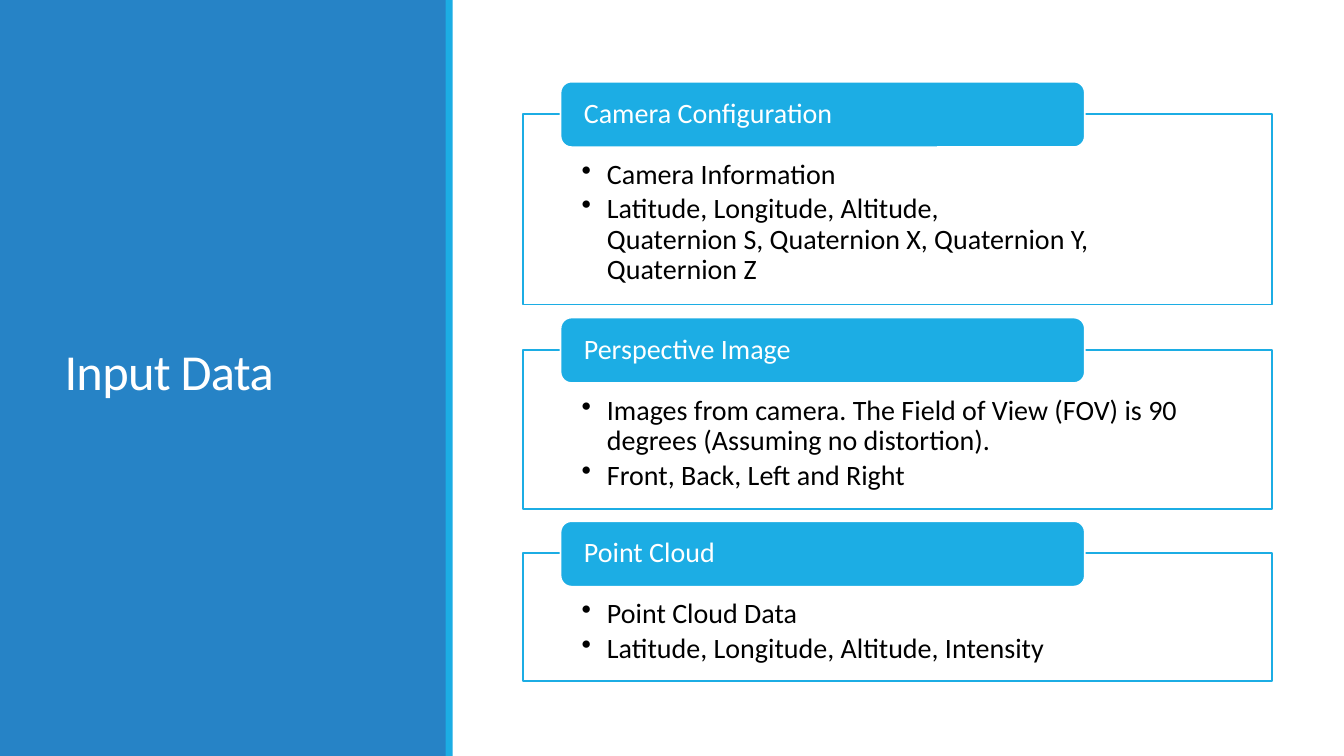
import pptx
import pptx.dml.color
import pptx.enum.shapes
import pptx.enum.text
import pptx.oxml.ns
import pptx.util
from lxml import etree
from pptx.util import Inches

RGBColor = pptx.dml.color.RGBColor
MSO_SHAPE = pptx.enum.shapes.MSO_SHAPE
MSO_ANCHOR = pptx.enum.text.MSO_ANCHOR
PP_ALIGN = pptx.enum.text.PP_ALIGN

BLUE = RGBColor(0x26, 0x83, 0xC6)
CYAN = RGBColor(0x1C, 0xAD, 0xE4)
WHITE = RGBColor(0xFF, 0xFF, 0xFF)
BLACK = RGBColor(0, 0, 0)

CARD_LEFT, CARD_WIDTH = 5.19, 7.43
LABEL_LEFT, LABEL_WIDTH, LABEL_HEIGHT = 5.56, 5.2, 0.65
LABEL_RISE = 0.32

# Label, top and height of the box, bullets
CARDS = [
    ("Camera Configuration", 1.13, 1.89,
     ["Camera Information",
      "Latitude, Longitude, Altitude,\vQuaternion S, Quaternion X, Quaternion Y, Quaternion Z"]),
    ("Perspective Image", 3.47, 1.58,
     ["Images from camera. The Field of View (FOV) is 90 degrees (Assuming no distortion).",
      "Front, Back, Left and Right"]),
    ("Point Cloud", 5.49, 1.27,
     ["Point Cloud Data",
      "Latitude, Longitude, Altitude, Intensity"]),
]


def set_attributes(target, values):
    for name, value in values.items():
        setattr(target, name, value)


def add_box(slide, preset, left, top, width, height, fill, line=None):
    shape = slide.shapes.add_shape(
        preset, Inches(left), Inches(top), Inches(width), Inches(height))
    shape.shadow.inherit = False
    shape.fill.solid()
    shape.fill.fore_color.rgb = fill
    if line is None:
        shape.line.fill.background()
    else:
        shape.line.color.rgb = line
        shape.line.width = pptx.util.Pt(1.25)
    return shape


def set_frame(text_frame, anchor, left, top, right, bottom):
    """Set the anchor and the insets, in inches, of a wrapping text frame."""
    set_attributes(text_frame, {
        "word_wrap": True,
        "auto_size": pptx.enum.text.MSO_AUTO_SIZE.NONE,
        "vertical_anchor": anchor,
        "margin_left": Inches(left),
        "margin_top": Inches(top),
        "margin_right": Inches(right),
        "margin_bottom": Inches(bottom),
    })


def add_bullet(paragraph):
    properties = paragraph._p.get_or_add_pPr()
    properties.set("marL", str(Inches(0.25)))
    properties.set("indent", str(-Inches(0.25)))
    bullet = etree.SubElement(properties, pptx.oxml.ns.qn("a:buChar"))
    bullet.set("char", "•")


def write_paragraph(paragraph, text, size, color, line_spacing=0.9, space_after=0):
    paragraph.text = text
    set_attributes(paragraph, {
        "alignment": PP_ALIGN.LEFT,
        "line_spacing": line_spacing,
        "space_after": pptx.util.Pt(space_after),
    })
    for run in paragraph.runs:
        set_attributes(run.font, {"name": "Calibri", "size": pptx.util.Pt(size)})
        run.font.color.rgb = color


def add_card(slide, label, top, height, bullets):
    box = add_box(slide, MSO_SHAPE.RECTANGLE, CARD_LEFT, top, CARD_WIDTH, height, WHITE, CYAN)
    frame = box.text_frame
    set_frame(frame, MSO_ANCHOR.TOP, 0.58, 0.46, 0.58, 0.16)
    for index, text in enumerate(bullets):
        paragraph = frame.add_paragraph() if index else frame.paragraphs[0]
        add_bullet(paragraph)
        write_paragraph(paragraph, text, 20, BLACK, space_after=3)

    tab = add_box(slide, MSO_SHAPE.ROUNDED_RECTANGLE, LABEL_LEFT, top - LABEL_RISE,
                  LABEL_WIDTH, LABEL_HEIGHT, CYAN, WHITE)
    set_frame(tab.text_frame, MSO_ANCHOR.MIDDLE, 0.2, 0, 0.2, 0)
    write_paragraph(tab.text_frame.paragraphs[0], label, 20, WHITE)


def add_title_panel(slide, text):
    panel = add_box(slide, MSO_SHAPE.RECTANGLE, 0, 0, 4.43, 7.5, BLUE)
    title = slide.shapes.title
    title.element.addprevious(panel.element)
    set_attributes(title, {
        "left": Inches(0.54), "top": Inches(0.57),
        "width": Inches(3.37), "height": Inches(6.31),
    })
    set_frame(title.text_frame, MSO_ANCHOR.MIDDLE, 0.1, 0.05, 0.1, 0.05)
    paragraph = title.text_frame.paragraphs[0]
    write_paragraph(paragraph, text, 36, WHITE, line_spacing=0.85)
    paragraph.runs[0]._r.get_or_add_rPr().set("spc", "-50")
    add_box(slide, MSO_SHAPE.RECTANGLE, 4.42, 0, 0.07, 7.5, CYAN)


def main():
    presentation = pptx.Presentation()
    presentation.slide_width = Inches(13.33)
    presentation.slide_height = Inches(7.5)
    slide = presentation.slides.add_slide(presentation.slide_layouts.get_by_name("Title Only"))
    add_title_panel(slide, "Input Data")
    for card in CARDS:
        add_card(slide, *card)
    presentation.save("out.pptx")


if __name__ == "__main__":
    main()
